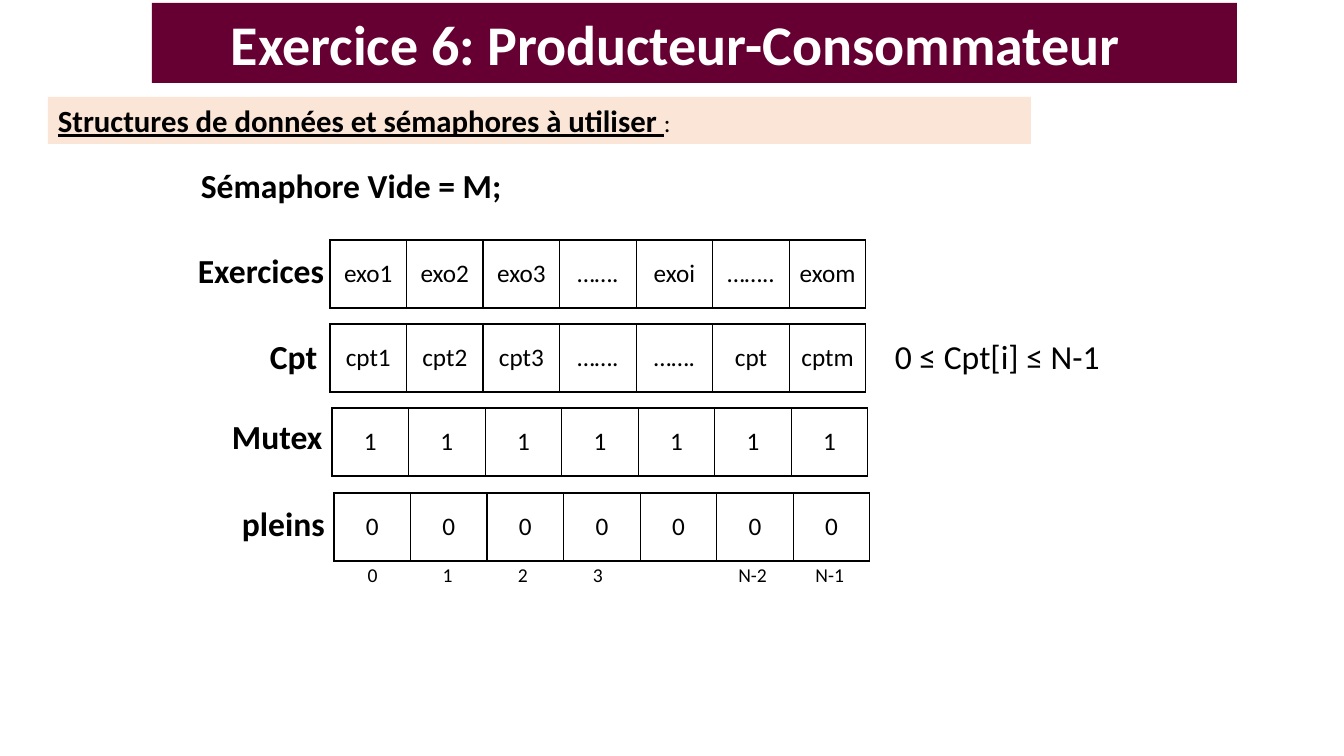
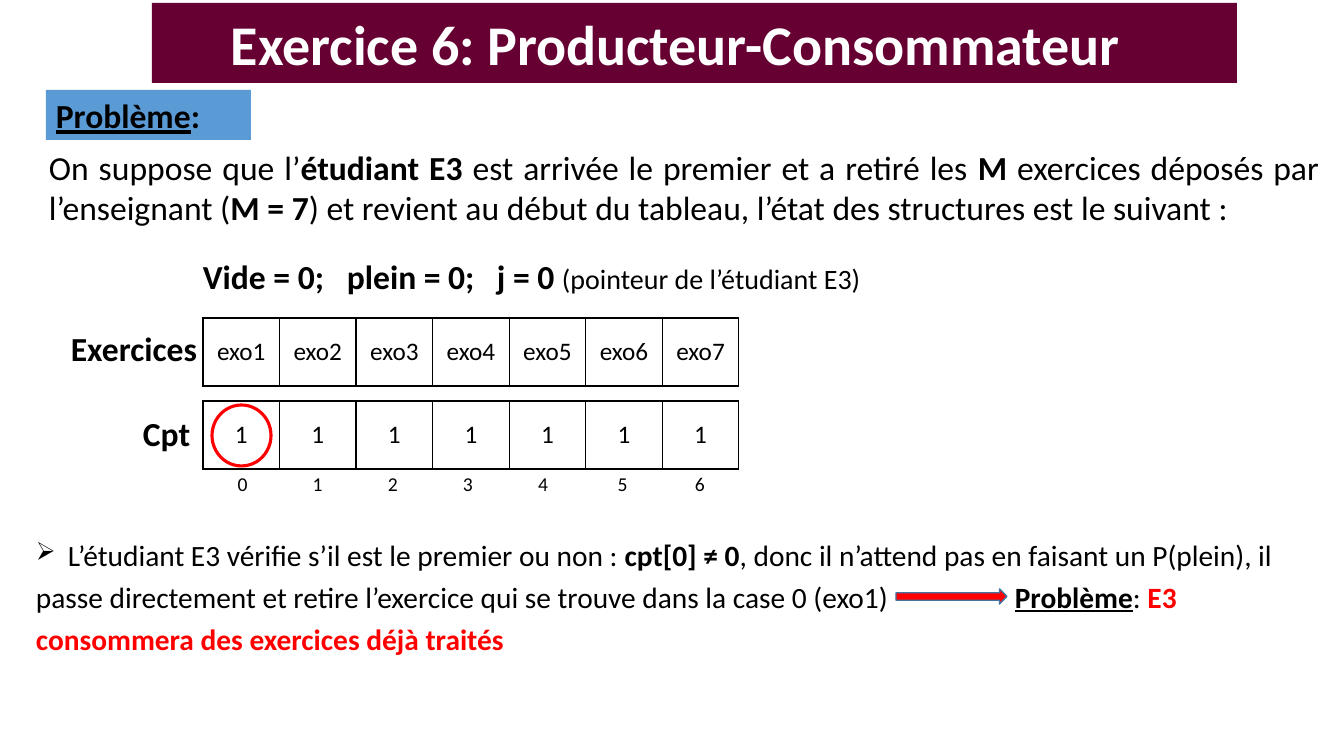
from dataclasses import dataclass
from typing import NamedTuple

import lxml.etree
import pptx
import pptx.dml.color
import pptx.enum.shapes
import pptx.enum.text
import pptx.oxml.ns
import pptx.shapes.autoshape
import pptx.slide
import pptx.util

# Shared look
SCALE = 914400 / 100.8
FONT = "Calibri"
WINE, PEACH, BLUE = "660033", "FBE5D6", "5B9BD5"
BLACK, WHITE, RED, STEEL = "000000", "FFFFFF", "FF0000", "43739E"
SHAPE = pptx.enum.shapes.MSO_SHAPE
ALIGN = pptx.enum.text.PP_ALIGN
ANCHOR = pptx.enum.text.MSO_ANCHOR


class Box(NamedTuple):
    left: int
    top: int
    width: int
    height: int


@dataclass(frozen=True)
class Span:
    text: str
    size: float = 24
    bold: bool = False
    line: bool = False
    color: str = BLACK


@dataclass(frozen=True)
class Para:
    spans: list[Span]
    align: ALIGN = ALIGN.LEFT
    space: float | None = None
    after: int = 0
    bullet: str = ""
    tabs: tuple[int, ...] = ()


@dataclass(frozen=True)
class Strip:
    """A row of seven cells with its label at the left."""
    label: str
    cells: list[str]
    left: int
    top: int
    place: Box


def px(count: float) -> int:
    return round(count * SCALE)


def rgb(code: str) -> pptx.dml.color.RGBColor:
    return pptx.dml.color.RGBColor.from_string(code)


def node(parent, tag: str, **attrs: str):
    return lxml.etree.SubElement(parent, pptx.oxml.ns.qn(tag), attrs)


# Text
def style(run, span: Span) -> None:
    font = run.font
    font.name, font.size = FONT, pptx.util.Pt(span.size)
    font.bold, font.underline = span.bold, span.line
    font.color.rgb = rgb(span.color)


def write(frame, para: Para) -> None:
    frame.word_wrap = True
    body = frame.paragraphs[0]
    body.alignment = para.align
    if para.space:
        body.line_spacing = para.space
    if para.after:
        body.space_after = pptx.util.Pt(para.after)
    for span in para.spans:
        run = body.add_run()
        run.text = span.text
        style(run, span)
    props = body._p.get_or_add_pPr()
    if para.bullet:
        node(props, "a:buChar", char=para.bullet)
    if para.tabs:
        stops = node(props, "a:tabLst")
        for stop in para.tabs:
            node(stops, "a:tab", pos=str(px(stop)), algn="l")


def note(slide: pptx.slide.Slide, box: Box, para: Para) -> None:
    shape = slide.shapes.add_textbox(*map(px, box))
    write(shape.text_frame, para)


# Shapes
def draw(slide: pptx.slide.Slide, kind: SHAPE, box: Box, fill: str = "",
         line: str = "", width: float = 1) -> pptx.shapes.autoshape.Shape:
    shape = slide.shapes.add_shape(kind, *map(px, box))
    shape.shadow.inherit = False
    if fill:
        shape.fill.solid()
        shape.fill.fore_color.rgb = rgb(fill)
    else:
        shape.fill.background()
    if line:
        shape.line.color.rgb = rgb(line)
        shape.line.width = pptx.util.Pt(width)
    else:
        shape.line.fill.background()
    return shape


def band(slide: pptx.slide.Slide, box: Box, fill: str, para: Para) -> None:
    frame = draw(slide, SHAPE.RECTANGLE, box, fill).text_frame
    frame.vertical_anchor = ANCHOR.TOP
    write(frame, para)


def title(slide: pptx.slide.Slide) -> None:
    frame = draw(slide, SHAPE.RECTANGLE, Box(152, 3, 1085, 80), WINE).text_frame
    frame.vertical_anchor = ANCHOR.BOTTOM
    frame.margin_right = px(48)
    write(frame, Para([Span("Exercice 6: Producteur-Consommateur", 40, True,
                            color=WHITE)], ALIGN.CENTER, 0.9))


# Tables
def edge(cell, color: str) -> None:
    props = cell._tc.get_or_add_tcPr()
    for spot, side in enumerate(("a:lnL", "a:lnR", "a:lnT", "a:lnB")):
        line = node(props, side, w=str(pptx.util.Pt(1)))
        if color:
            node(node(line, "a:solidFill"), "a:srgbClr", val=color)
        else:
            node(line, "a:noFill")
        props.insert(spot, line)


def grid(slide: pptx.slide.Slide, box: Box, cells: list[str], size: int,
         color: str = "", shifts: dict[int, int] | None = None) -> None:
    table = slide.shapes.add_table(1, len(cells), *map(px, box)).table
    table.first_row = table.horz_banding = False
    for spot, text in enumerate(cells):
        cell = table.cell(0, spot)
        cell.fill.background()
        edge(cell, color)
        cell.vertical_anchor = ANCHOR.MIDDLE
        cell.margin_top = cell.margin_bottom = 0
        cell.margin_right = px(9)
        cell.margin_left = px(9 + (shifts or {}).get(spot, 0))
        body = cell.text_frame.paragraphs[0]
        body.text = text
        body.alignment = ALIGN.CENTER
        for run in body.runs:
            style(run, Span(text, size))


def strip(slide: pptx.slide.Slide, row: Strip) -> None:
    grid(slide, Box(row.left, row.top, 536, 68), row.cells, 18, BLACK)
    note(slide, row.place, Para([Span(row.label, bold=True)]))


def index(slide: pptx.slide.Slide, left: int, top: int,
          cells: list[str]) -> None:
    grid(slide, Box(left, top, 526, 33), cells, 14, shifts={5: 9, 6: 13})


deck = pptx.Presentation()
deck.slide_width, deck.slide_height = px(1344), px(756)
blank = deck.slide_layouts[6]

# Slide 1: data structures and semaphores
slide = deck.slides.add_slide(blank)
title(slide)
rows = [
    Strip("Exercices", ["exo1", "exo2", "exo3", "…….", "exoi", "……..", "exom"],
          330, 240, Box(188, 245, 205, 50)),
    Strip("Cpt", ["cpt1", "cpt2", "cpt3", "…….", "…….", "cpt", "cptm"],
          330, 324, Box(260, 331, 82, 50)),
    Strip("Mutex", ["1"] * 7, 332, 408, Box(222, 411, 111, 50)),
    Strip("pleins", ["0"] * 7, 334, 493, Box(232, 498, 111, 50)),
]
for row in rows:
    strip(slide, row)
index(slide, 335, 559, ["0", "1", "2", "3", "", "N-2", "N-1"])
note(slide, Box(885, 331, 280, 50), Para([Span("0 ≤ Cpt[i] ≤ N-1")]))
note(slide, Box(191, 160, 347, 50),
     Para([Span("Sémaphore Vide = M;", bold=True)]))
band(slide, Box(48, 97, 983, 47), PEACH, Para([
    Span("Structures de données et sémaphores à utiliser ", 22, True, True),
    Span(":", 18)]))

# Slide 2: the problem met by student E3
slide = deck.slides.add_slide(blank)
title(slide)
rows = [
    Strip("Exercices", [f"exo{count}" for count in range(1, 8)],
          203, 318, Box(61, 323, 205, 50)),
    Strip("Cpt", ["1"] * 7, 203, 401, Box(133, 408, 82, 50)),
]
for row in rows:
    strip(slide, row)
note(slide, Box(39, 142, 1290, 92), Para([
    Span("On suppose que l’"),
    Span("étudiant E3", bold=True),
    Span(" est arrivée le premier et a retiré les "),
    Span("M", bold=True),
    Span(" exercices déposés par l’enseignant ("),
    Span("M = 7", bold=True),
    Span(") et revient au début du tableau, l’état des structures"
         " est le suivant :")], ALIGN.JUSTIFY, after=12))
note(slide, Box(26, 525, 1317, 137), Para([
    Span("\t", 18),
    Span("L’étudiant E3 vérifie s’il est le premier ou non : ", 21),
    Span("cpt[0] ≠ 0", 21, True),
    Span(", donc il n’attend pas en faisant un P(plein), il passe directement"
         " et retire l’exercice qui se trouve dans la case 0 (exo1)\t", 21),
    Span("Problème", 21, True, True),
    Span(": ", 21),
    Span("E3 consommera des exercices déjà traités", 21, True, color=RED)],
    space=pptx.util.Pt(30), bullet="➢", tabs=(32, 979)))
note(slide, Box(193, 251, 811, 50), Para([
    Span("Vide = 0;\tplein = 0;\tj = 0 ", bold=True),
    Span("(pointeur de l’étudiant E3)", 20)], tabs=(144, 294)))
draw(slide, SHAPE.OVAL, Box(212, 405, 59, 61), line=RED, width=2.25)
draw(slide, SHAPE.RIGHT_ARROW, Box(896, 589, 111, 15), RED, STEEL)
band(slide, Box(46, 90, 205, 50), BLUE, Para([
    Span("Problème", bold=True, line=True), Span(":", bold=True)]))
index(slide, 205, 468, [str(count) for count in range(7)])

deck.save("out.pptx")
